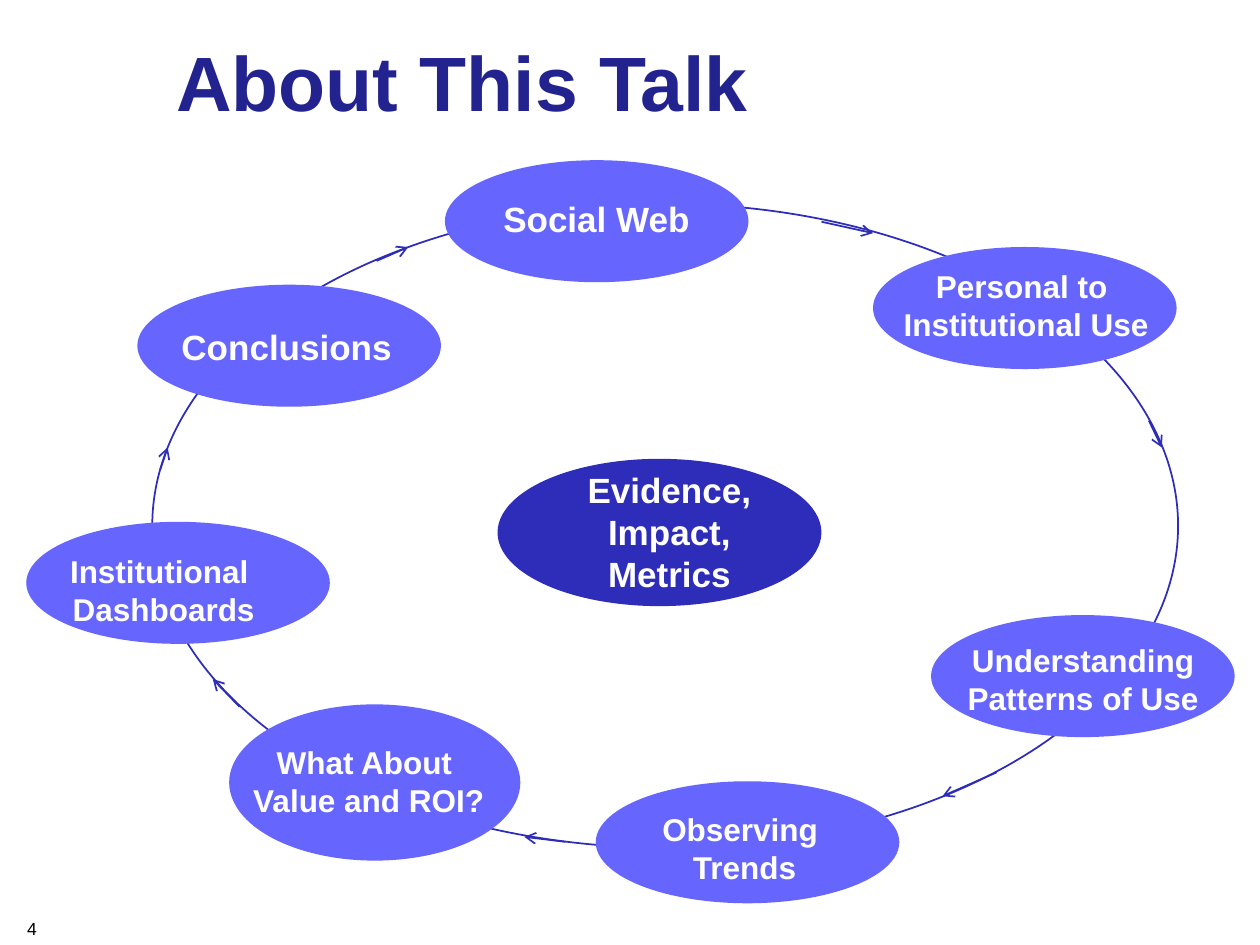
from lxml.etree import SubElement
from pptx import Presentation
from pptx.dml.color import RGBColor
from pptx.enum.shapes import MSO_CONNECTOR, MSO_SHAPE
from pptx.enum.text import MSO_ANCHOR, PP_ALIGN
from pptx.oxml.ns import qn
from pptx.util import Cm, Pt

COLORS = {"title": "23238F", "core": "2D2DB9", "topic": "6666FF",
          "label": "FFFFFF", "number": "000000"}
TITLE = "About This Talk"
RING = (3.07, 4.11, 20.68, 12.98)
OVAL = (6.12, 2.46)
# (lines, oval position, oval size, oval colour, label box, text size, wrap)
TOPICS = [
    (["Evidence, Impact, Metrics"], (10.03, 9.25), (6.53, 2.97), "core",
     (11.4, 9.32, 4.19, 2.82), 20, True),
    (["Social Web"], (8.97, 3.23), OVAL, "topic", (9.88, 3.86, 4.29, 1.12), 20, False),
    (["Personal to ", "Institutional Use"], (17.6, 4.98), OVAL, "topic",
     (17.93, 5.26, 5.51, 1.8), 18, False),
    (["Understanding", "Patterns of Use"], (18.77, 12.4), OVAL, "topic",
     (19.23, 12.8, 5.21, 1.8), 18, False),
    (["Observing ", "Trends"], (12.01, 15.75), OVAL, "topic",
     (13.08, 16.21, 3.86, 1.8), 18, False),
    (["What About ", "Value and ROI?"], (4.62, 14.2), (5.87, 3.15), "topic",
     (4.83, 14.86, 5.21, 1.8), 18, False),
    (["Institutional ", "Dashboards"], (0.53, 10.52), OVAL, "topic",
     (1.14, 11, 4.32, 1.8), 18, False),
    (["Conclusions"], (2.77, 5.74), OVAL, "topic", (3.38, 6.43, 4.8, 1.12), 20, False),
]
ARROWS = [
    (7.59, 5.26, 8.23, 4.98), (16.56, 4.47, 17.6, 4.7), (23.16, 8.48, 23.42, 9.02),
    (20.09, 15.57, 19, 16.05), (11.4, 16.97, 10.57, 16.87),
    (4.83, 14.25, 4.29, 13.69), (3.23, 9.47, 3.38, 9.02),
]


def rgb(name):
    return RGBColor.from_string(COLORS[name])


def write(tf, lines, size, color, bold=True, align=PP_ALIGN.CENTER):
    p = tf.paragraphs[0]
    p.alignment = align
    for i, line in enumerate(lines):
        if i:
            p.add_line_break()
        r = p.add_run()
        r.text = line
        r.font.name, r.font.size, r.font.bold = "Arial", Pt(size), bold
        r.font.color.rgb = rgb(color)


def add_oval(s, box, fill=None):
    sp = s.shapes.add_shape(MSO_SHAPE.OVAL, *map(Cm, box))
    sp.shadow.inherit = False
    if fill:
        sp.fill.solid()
        sp.fill.fore_color.rgb = rgb(fill)
        sp.line.fill.background()
    else:
        sp.fill.background()
        sp.line.color.rgb = rgb("core")
        sp.line.width = Pt(1)


def add_label(s, box, wrap=False):
    tf = s.shapes.add_textbox(*map(Cm, box)).text_frame
    tf.word_wrap = wrap
    return tf


def add_arrow(s, ends):
    c = s.shapes.add_connector(MSO_CONNECTOR.STRAIGHT, *map(Cm, ends))
    c.line.color.rgb = rgb("core")
    c.line.width = Pt(1)
    SubElement(c.line._get_or_add_ln(), qn("a:tailEnd"), type="arrow")
    SubElement(c._element.spPr, qn("a:effectLst"))


def main():
    """Build the talk overview as a ring of topics around a core theme."""
    prs = Presentation()
    prs.slide_width, prs.slide_height = Cm(25.4), Cm(19.05)
    s = prs.slides.add_slide(prs.slide_layouts[5])

    title = s.shapes.title
    title.left, title.top, title.width, title.height = map(Cm, (3.3, 0.71, 21.21, 1.85))
    title.text_frame.vertical_anchor = MSO_ANCHOR.MIDDLE
    write(title.text_frame, [TITLE], 44, "title", align=PP_ALIGN.LEFT)

    add_oval(s, RING)
    for lines, pos, size, fill, box, pt, wrap in TOPICS:
        add_oval(s, pos + size, fill)
        write(add_label(s, box, wrap), lines, pt, "label")
    for ends in ARROWS:
        add_arrow(s, ends)

    number = add_label(s, (0, 18.39, 0.99, 0.66), True)
    number.vertical_anchor = MSO_ANCHOR.BOTTOM
    write(number, ["4"], 10, "number", bold=False, align=PP_ALIGN.RIGHT)
    prs.save("out.pptx")


if __name__ == "__main__":
    main()
